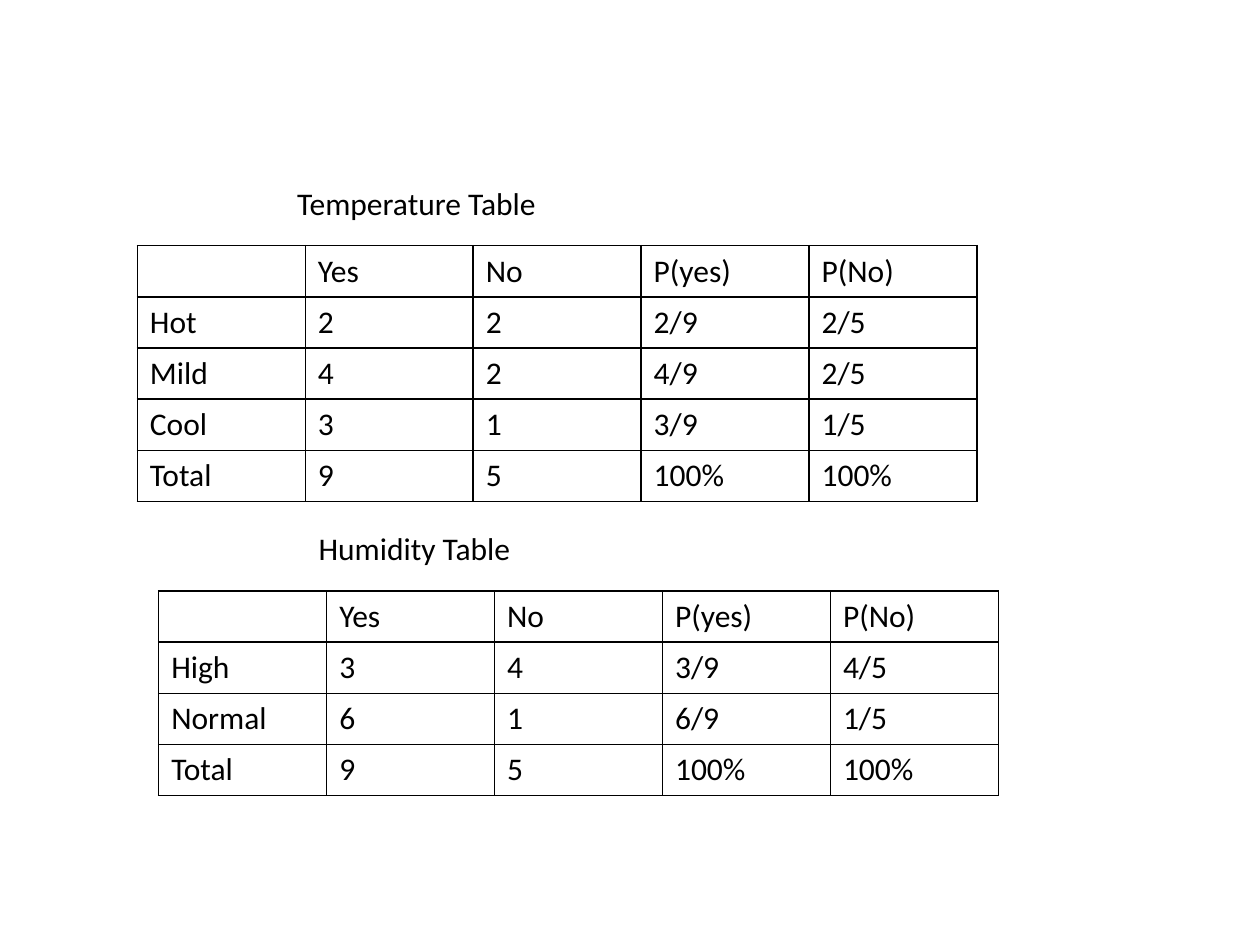
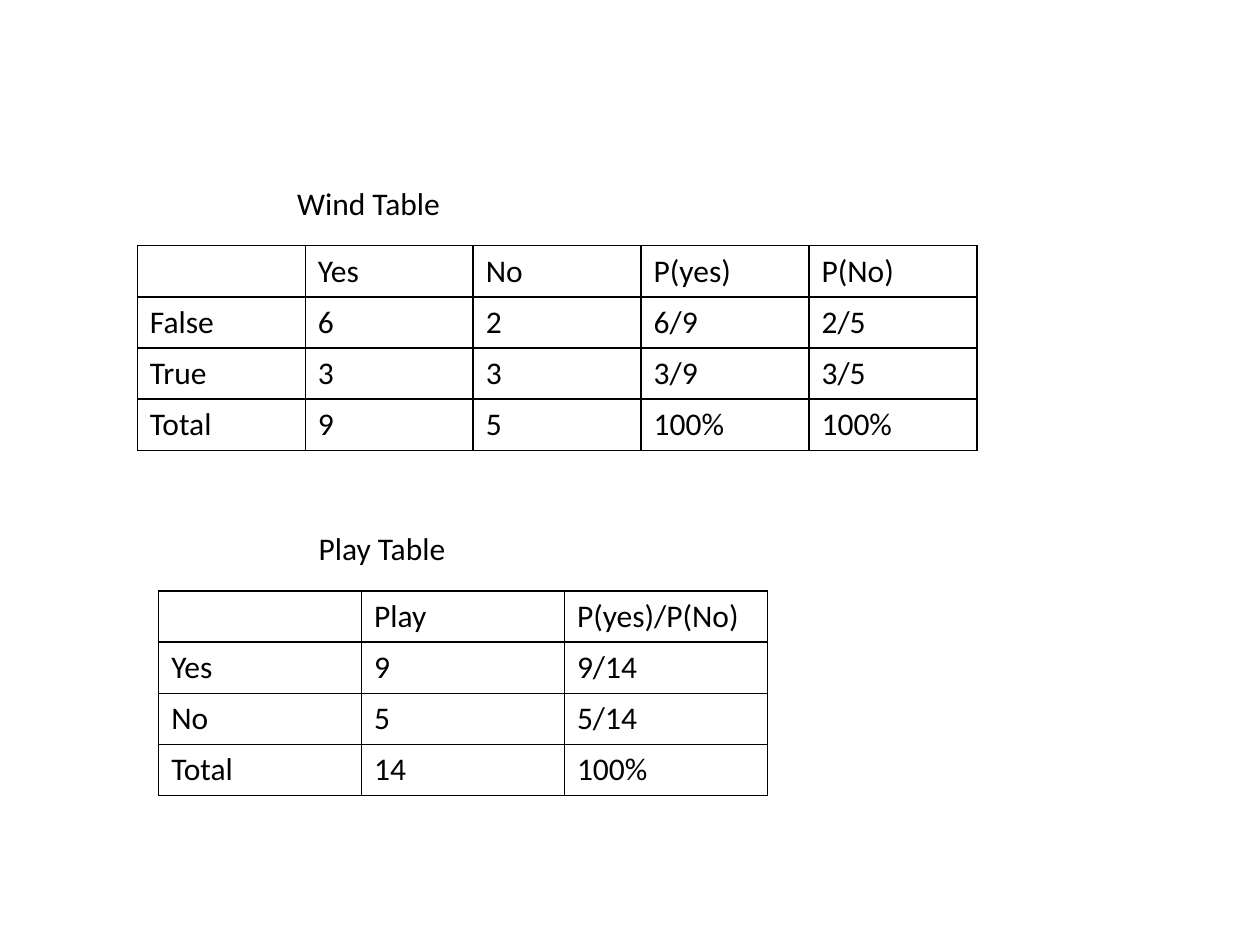
from lxml.etree import SubElement
from pptx import Presentation
from pptx.dml.color import RGBColor
from pptx.enum.text import MSO_AUTO_SIZE
from pptx.oxml.ns import qn
from pptx.util import Inches, Pt

COUNT_HEADER = ["", "Yes", "No", "P(yes)", "P(No)"]
COUNT_TOTAL = ["Total", "9", "5", "100%", "100%"]

# Each slide holds an upper and a lower table: (caption, column width, rows)
SLIDES = [
    [
        ("Temperature Table", 1.333, [
            COUNT_HEADER,
            ["Hot", "2", "2", "2/9", "2/5"],
            ["Mild", "4", "2", "4/9", "2/5"],
            ["Cool", "3", "1", "3/9", "1/5"],
            COUNT_TOTAL,
        ]),
        ("Humidity Table", 1.333, [
            COUNT_HEADER,
            ["High", "3", "4", "3/9", "4/5"],
            ["Normal", "6", "1", "6/9", "1/5"],
            COUNT_TOTAL,
        ]),
    ],
    [
        ("Wind Table", 1.333, [
            COUNT_HEADER,
            ["False", "6", "2", "6/9", "2/5"],
            ["True", "3", "3", "3/9", "3/5"],
            COUNT_TOTAL,
        ]),
        ("Play Table", 1.61, [
            ["", "Play", "P(yes)/P(No)"],
            ["Yes", "9", "9/14"],
            ["No", "5", "5/14"],
            ["Total", "14", "100%"],
        ]),
    ],
]

TABLE_ORIGINS = [(1.09, 1.95), (1.26, 4.69)]
CAPTION_INDENT, CAPTION_RISE = 1.17, 0.54
CAPTION_SIZE = (3.59, 0.4)
ROW_HEIGHT = 0.406
FONT, FONT_SIZE = "Calibri", 18
INK = "000000"
BORDER_WIDTH = 1


def color(hex_string):
    return RGBColor.from_string(hex_string)


def write(text_frame, text):
    paragraph = text_frame.paragraphs[0]
    paragraph.text = text
    paragraph.font.name = FONT
    paragraph.font.size = Pt(FONT_SIZE)
    paragraph.font.color.rgb = color(INK)


def add_borders(cell):
    properties = cell._tc.get_or_add_tcPr()
    for side in ("lnL", "lnR", "lnT", "lnB"):
        line = SubElement(properties, qn(f"a:{side}"), w=str(Pt(BORDER_WIDTH)))
        fill = SubElement(line, qn("a:solidFill"))
        SubElement(fill, qn("a:srgbClr"), val=INK)


def add_grid(slide, left, top, column_width, rows):
    """Add an unfilled table with a thin border around every cell."""
    column_count = len(rows[0])
    table = slide.shapes.add_table(
        len(rows), column_count, Inches(left), Inches(top),
        Inches(column_width * column_count), Inches(ROW_HEIGHT * len(rows))).table
    table.first_row = table.horz_banding = False
    for row, texts in zip(table.rows, rows):
        for cell, text in zip(row.cells, texts):
            write(cell.text_frame, text)
            add_borders(cell)
            cell.fill.background()


def add_caption(slide, left, top, text):
    box = slide.shapes.add_textbox(
        Inches(left), Inches(top), *map(Inches, CAPTION_SIZE))
    box.text_frame.word_wrap = True
    box.text_frame.auto_size = MSO_AUTO_SIZE.SHAPE_TO_FIT_TEXT
    write(box.text_frame, text)


def main():
    presentation = Presentation()
    presentation.slide_width, presentation.slide_height = Inches(10), Inches(7.5)
    blank_layout = presentation.slide_layouts[6]
    for tables in SLIDES:
        slide = presentation.slides.add_slide(blank_layout)
        for (left, top), (caption, column_width, rows) in zip(TABLE_ORIGINS, tables):
            add_grid(slide, left, top, column_width, rows)
            add_caption(slide, left + CAPTION_INDENT, top - CAPTION_RISE, caption)
    presentation.save("out.pptx")


if __name__ == "__main__":
    main()
